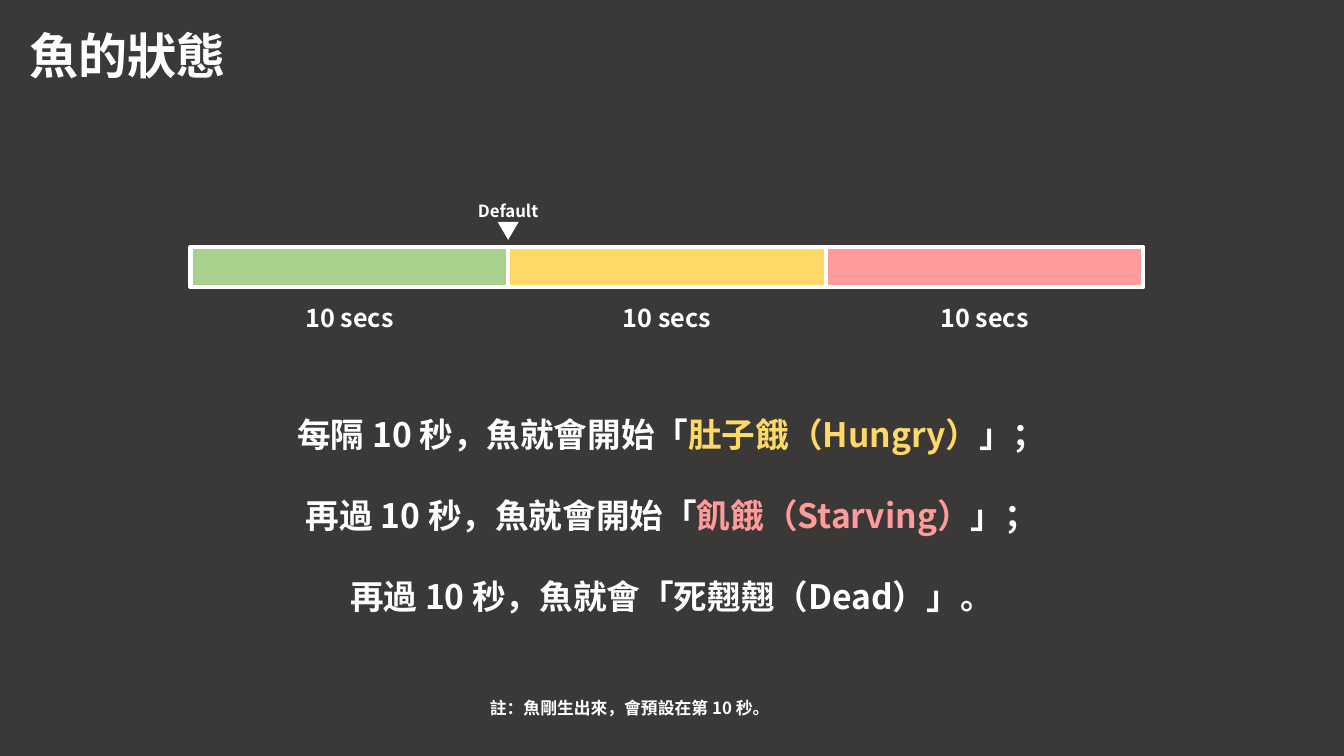
from lxml import etree
from pptx import Presentation
from pptx import util as u
from pptx.dml.color import RGBColor
from pptx.enum import shapes, text
from pptx.oxml import ns

COLORS = {
    "background": "3B3838",
    "white": "FFFFFF",
    "full": "A9D18E",
    "hungry": "FFD966",
    "starving": "FF9B9B",
}
FONT = "Noto Sans CJK JP"
STATES = ["full", "hungry", "starving"]
RULES = [
    [("每隔 10 秒，魚就會開始「", "white"), ("肚子餓（Hungry）", "hungry"), ("」；", "white")],
    [("再過 10 秒，魚就會開始「", "white"), ("飢餓（Starving）", "starving"), ("」；", "white")],
    [("再過 10 秒，魚就會「死翹翹（Dead）」。", "white")],
]


def rgb(name):
    return RGBColor.from_string(COLORS[name])


def add_text(slide, box, lines, size, align=text.PP_ALIGN.CENTER, spacing=None):
    shape = slide.shapes.add_textbox(*map(u.Inches, box))
    frame = shape.text_frame
    frame.word_wrap = True
    frame.auto_size = text.MSO_AUTO_SIZE.SHAPE_TO_FIT_TEXT
    for index, line in enumerate(lines):
        paragraph = frame.add_paragraph() if index else frame.paragraphs[0]
        paragraph.alignment = align
        paragraph.line_spacing = spacing
        for words, color in line:
            run = paragraph.add_run()
            run.text = words
            run.font.size = u.Pt(size)
            run.font.bold = True
            run.font.name = FONT
            run.font.color.rgb = rgb(color)
            east_asian = etree.SubElement(run.font._element, ns.qn("a:ea"))
            east_asian.set("typeface", FONT)


def add_filled_shape(slide, kind, box, color, line_width=0):
    shape = slide.shapes.add_shape(kind, *map(u.Inches, box))
    shape.shadow.inherit = False
    shape.fill.solid()
    shape.fill.fore_color.rgb = rgb(color)
    if line_width:
        shape.line.color.rgb = rgb("white")
        shape.line.width = u.Pt(line_width)
    else:
        shape.line.fill.background()
    return shape


def add_timeline(slide, left, top, width, height):
    step = width / len(STATES)
    label_width = 1.29
    for index, state in enumerate(STATES):
        x = left + index * step
        add_filled_shape(slide, shapes.MSO_SHAPE.RECTANGLE, (x, top, step, height), state, 3)
        label_left = x + (step - label_width) / 2
        add_text(slide, (label_left, top + 0.5, label_width, 0.4), [[("10 secs", "white")]], 18)
    add_default_marker(slide, left + step, top)


def add_default_marker(slide, center, bar_top):
    add_text(slide, (center - 0.4, bar_top - 0.51, 0.8, 0.3), [[("Default", "white")]], 12)
    marker = add_filled_shape(
        slide, shapes.MSO_SHAPE.ISOSCELES_TRIANGLE,
        (center - 0.105, bar_top - 0.25, 0.21, 0.18), "white")
    marker.rotation = 180


def build_state_slide(presentation):
    slide = presentation.slides.add_slide(presentation.slide_layouts[6])
    slide.background.fill.solid()
    slide.background.fill.fore_color.rgb = rgb("background")
    add_text(slide, (0.19, 0.2, 2.95, 0.69), [[("魚的狀態", "white")]], 35, text.PP_ALIGN.LEFT)
    add_timeline(slide, 1.89, 2.45, 9.45, 0.4)
    add_text(slide, (2.1, 3.66, 9.13, 2.42), RULES, 24, spacing=2.0)
    note = "註：魚剛生出來，會預設在第 10 秒。"
    add_text(slide, (4.27, 6.67, 3.95, 0.45), [[(note, "white")]], 12, spacing=2.0)


def main():
    presentation = Presentation()
    presentation.slide_width = u.Inches(13.33)
    presentation.slide_height = u.Inches(7.5)
    build_state_slide(presentation)
    presentation.save("out.pptx")


if __name__ == "__main__":
    main()
